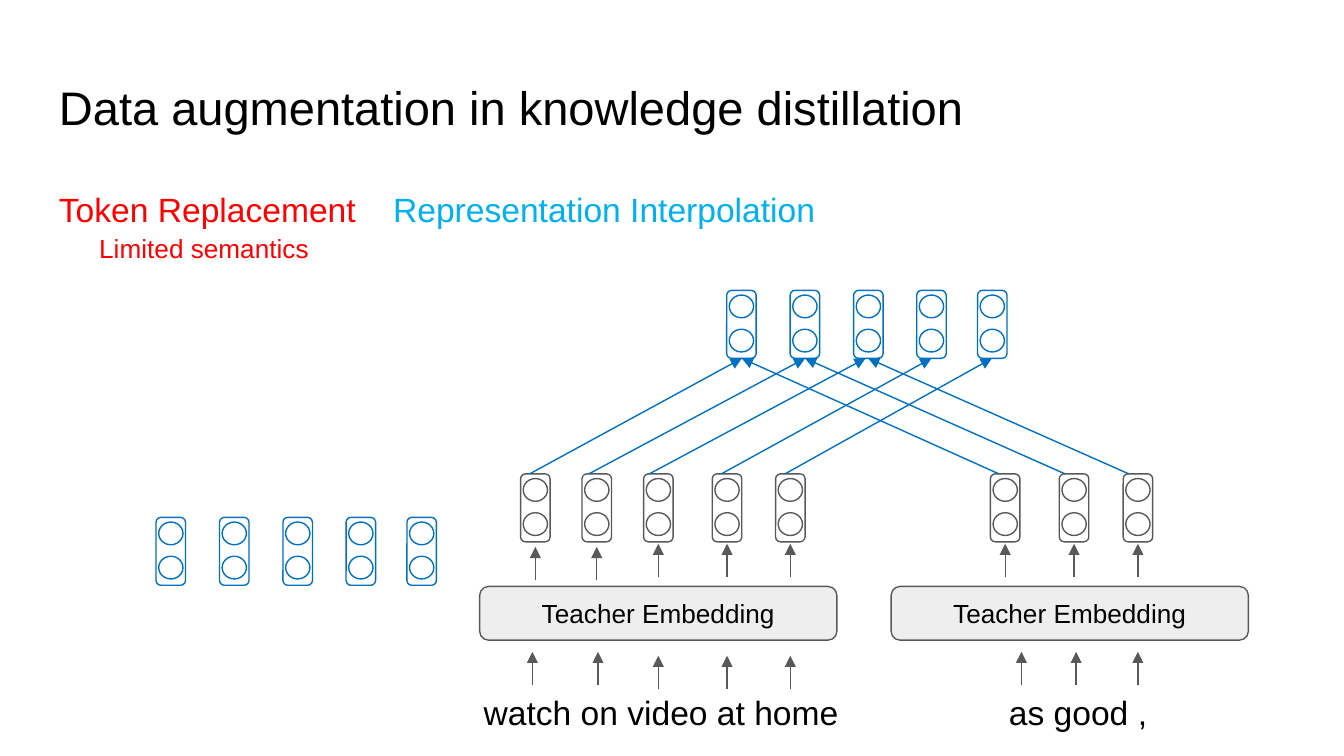
from dataclasses import dataclass

from lxml.etree import SubElement
from pptx import Presentation
from pptx.dml.color import RGBColor
from pptx.enum.shapes import MSO_CONNECTOR, MSO_SHAPE
from pptx.enum.text import MSO_ANCHOR, PP_ALIGN
from pptx.oxml.ns import qn
from pptx.util import Pt


@dataclass(frozen=True)
class Theme:
    """Colours, font and type sizes of the slide."""
    font: str = "Arial"
    black: str = "000000"
    red: str = "FF0000"
    sky: str = "00B0F0"
    blue: str = "0070C0"
    gray: str = "595959"
    pale: str = "EEEEEE"
    title: float = 25.2
    body: float = 18
    label: float = 14
    stroke: float = 0.75


THEME = Theme()
CELL_WIDTH, CELL_HEIGHT = 15.8, 36.4
NODE_WIDTH, NODE_HEIGHT = 13, 12.2
NODE_TOPS = (2.5, 20.8)
BLUE_OFFSETS = (0, 34, 68, 101.8, 134.4)
LEFT_CENTERS = (286.8, 319.7, 352.7, 389.5, 423.4)
RIGHT_CENTERS = (538.5, 575.4, 609.6)
TOKEN_TOP, MIXED_TOP, SAMPLE_TOP = 253.9, 155.6, 277.2
ARROW_LENGTH = 18


def set_values(target, values):
    """Set each attribute in values on target."""
    for name, value in values.items():
        setattr(target, name, value)


def write_text(frame, spans, size, paragraph_values=None, tab=None):
    """Fill the first paragraph with coloured spans."""
    para = frame.paragraphs[0]
    set_values(para, paragraph_values or {})
    if tab:
        tabs = SubElement(para._p.get_or_add_pPr(), qn("a:tabLst"))
        SubElement(tabs, qn("a:tab"), pos=str(Pt(tab)), algn="l")
    for text, color in spans:
        span = para.add_run()
        span.text = text
        set_values(span.font, {"name": THEME.font, "size": Pt(size)})
        span.font.color.rgb = RGBColor.from_string(color)


def set_insets(frame, vertical=7.2):
    """Set the inner margins of a text frame."""
    set_values(frame, {
        "margin_left": Pt(7.2), "margin_right": Pt(7.2),
        "margin_top": Pt(vertical), "margin_bottom": Pt(vertical),
    })


def add_text(page, bounds, spans, size, paragraph_values=None, tab=None, wrap=True, vertical=7.2):
    """Add a text box anchored at the top."""
    box = page.shapes.add_textbox(*map(Pt, bounds))
    set_values(box.text_frame, {"word_wrap": wrap, "vertical_anchor": MSO_ANCHOR.TOP})
    set_insets(box.text_frame, vertical)
    write_text(box.text_frame, spans, size, paragraph_values, tab)


def add_outline(page, kind, bounds, color, fill=None):
    """Add an outlined preset shape with an optional fill."""
    shape = page.shapes.add_shape(kind, *map(Pt, bounds))
    shape.shadow.inherit = False
    shape.line.color.rgb = RGBColor.from_string(color)
    shape.line.width = Pt(THEME.stroke)
    if fill:
        shape.fill.solid()
        shape.fill.fore_color.rgb = RGBColor.from_string(fill)
    else:
        shape.fill.background()
    return shape


def add_vector(page, center, top, color):
    """Add a rounded cell holding two nodes."""
    cell = (center - CELL_WIDTH / 2, top, CELL_WIDTH, CELL_HEIGHT)
    add_outline(page, MSO_SHAPE.ROUNDED_RECTANGLE, cell, color)
    for node_top in NODE_TOPS:
        node = (center - NODE_WIDTH / 2, top + node_top, NODE_WIDTH, NODE_HEIGHT)
        add_outline(page, MSO_SHAPE.OVAL, node, color)


def add_arrow(page, start, end, color):
    """Add a straight arrow from start to end."""
    arrow = page.shapes.add_connector(MSO_CONNECTOR.STRAIGHT, *map(Pt, (*start, *end)))
    arrow.line.color.rgb = RGBColor.from_string(color)
    arrow.line.width = Pt(THEME.stroke)
    SubElement(arrow.line._get_or_add_ln(), qn("a:tailEnd"), type="triangle")
    SubElement(arrow._element.spPr, qn("a:effectLst"))


def add_upward_arrows(page, positions):
    """Add equal upward arrows at the given x and bottom positions."""
    for x, bottom in positions:
        add_arrow(page, (x, bottom), (x, bottom - ARROW_LENGTH), THEME.gray)


def add_encoder(page, left):
    """Add a teacher embedding block."""
    block = add_outline(page, MSO_SHAPE.ROUNDED_RECTANGLE, (left, 314.2, 191.4, 28.8), THEME.gray, THEME.pale)
    block.text_frame.vertical_anchor = MSO_ANCHOR.MIDDLE
    set_insets(block.text_frame)
    spans = [("Teacher Embedding", THEME.black)]
    write_text(block.text_frame, spans, THEME.label, {"alignment": PP_ALIGN.CENTER})


def add_headings(page):
    """Add the title and the method headings."""
    spacing = {"line_spacing": 1.15, "space_after": Pt(12)}
    add_text(page, (24.5, 35, 671, 45.1),
             [("Data augmentation in knowledge distillation", THEME.black)], THEME.title)
    add_text(page, (24.5, 90.7, 671, 297.4),
             [("Token Replacement\t", THEME.red), ("Representation Interpolation", THEME.sky)],
             THEME.body, spacing, tab=179)
    add_text(page, (46.1, 121, 127.4, 24.5), [("Limited semantics", THEME.red)],
             THEME.label, wrap=False, vertical=3.6)
    for left, words, alignment in (
        (252, "watch on video at home", PP_ALIGN.LEFT),
        (459.4, "as good ,", PP_ALIGN.CENTER),
    ):
        add_text(page, (left, 360, 236.2, 51.8), [(words, THEME.black)],
                 THEME.body, {**spacing, "alignment": alignment})


def add_vectors(page):
    """Add the sampled, token and mixed vectors."""
    for first, top in ((91.5, SAMPLE_TOP), (397.2, MIXED_TOP)):
        for offset in BLUE_OFFSETS:
            add_vector(page, first + offset, top, THEME.blue)
    for center in LEFT_CENTERS + RIGHT_CENTERS:
        add_vector(page, center, TOKEN_TOP, THEME.gray)


def add_flow(page):
    """Add the embedding blocks and the arrows between layers."""
    for left in (257, 477.4):
        add_encoder(page, left)
    output_bottoms = (311, 311) + (309.3,) * 6
    add_upward_arrows(page, zip(LEFT_CENTERS + RIGHT_CENTERS, output_bottoms))
    inputs = (285.2, 320.4) + LEFT_CENTERS[2:] + (547.2, 576.5, 609.6)
    input_bottoms = (367.2, 367.2) + (369.3,) * 3 + (367.2,) * 3
    add_upward_arrows(page, zip(inputs, input_bottoms))
    starts = (283.7, 315.4, 347.8, 386.4, 420.5, 535.2, 570.6, 604.8)
    ends = (397.4, 431.3, 463.7, 499, 531.4, 397.4, 431.3, 465.1)
    for start, end in zip(starts, ends):
        add_arrow(page, (start, TOKEN_TOP), (end, MIXED_TOP + CELL_HEIGHT), THEME.blue)


def main():
    """Build and save the deck."""
    deck = Presentation()
    set_values(deck, {"slide_width": Pt(720), "slide_height": Pt(405)})
    page = deck.slides.add_slide(deck.slide_layouts[6])
    add_headings(page)
    add_vectors(page)
    add_flow(page)
    deck.save("out.pptx")


if __name__ == "__main__":
    main()
